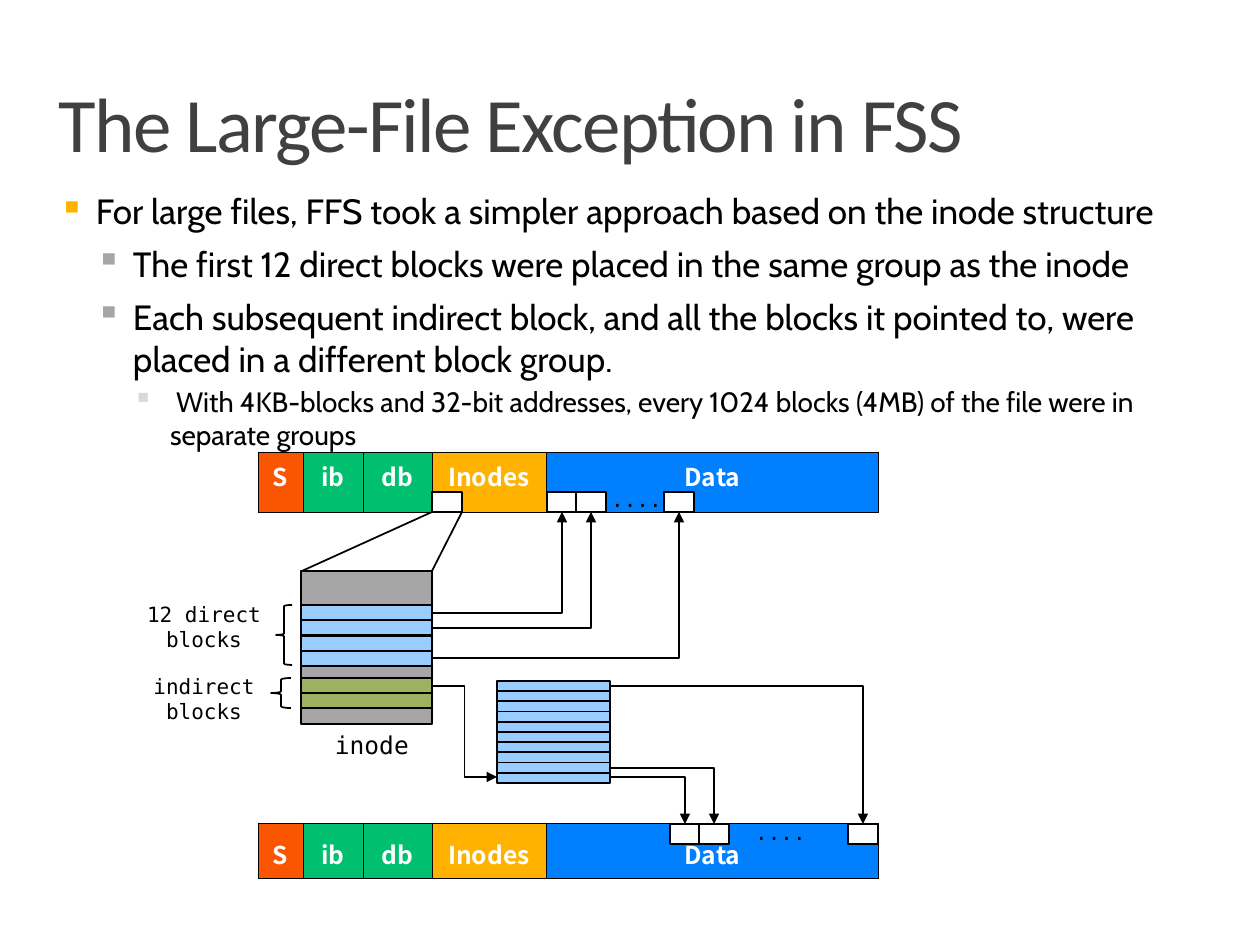
from lxml import etree
from pptx import Presentation
from pptx.dml.color import RGBColor
from pptx.enum.shapes import MSO_CONNECTOR, MSO_SHAPE
from pptx.enum.text import MSO_ANCHOR, PP_ALIGN
from pptx.oxml.ns import qn
from pptx.util import Pt

RECT, BRACE = MSO_SHAPE.RECTANGLE, MSO_SHAPE.LEFT_BRACE
STRAIGHT, ELBOW = MSO_CONNECTOR.STRAIGHT, MSO_CONNECTOR.ELBOW
LEFT, CENTER = PP_ALIGN.LEFT, PP_ALIGN.CENTER
TOP, MIDDLE, BOTTOM = MSO_ANCHOR.TOP, MSO_ANCHOR.MIDDLE, MSO_ANCHOR.BOTTOM


class Theme:
    black, white, title = "000000", "FFFFFF", "404040"
    red, green, amber, blue = "FA5500", "00C070", "FFB300", "007FFF"
    grey, direct, indirect = "A6A6A6", "99CCFF", "9EB160"
    bullets = ("FFB300", "A6A6A6", "D9D9D9")
    title_font, body_font = "Calibri", "Cabin"
    mono, table_font = "DejaVu Sans Mono", "Noto Sans CJK KR"
    title_size, table_size, label_size, inode_size = 44, 14, 12, 14
    body_sizes = (20, 20, 16)
    thin, line = 0.75, 1


TITLE = "The Large-File Exception in FSS"
BODY = [  # level, space before, text
    (0, 0, "For large files, FFS took a simpler approach based on the inode structure"),
    (1, 6, "The first 12 direct blocks were placed in the same group as the inode"),
    (1, 6, "Each subsequent indirect block, and all the blocks it pointed to, were "
           "placed in a different block group."),
    (2, 3, " With 4KB-blocks and 32-bit addresses, every 1024 blocks (4MB) of the "
           "file were in separate groups"),
]
INDENT = 37

# Block groups: label, width, fill
REGIONS = [("S", 45, Theme.red), ("ib", 60, Theme.green), ("db", 69, Theme.green),
           ("Inodes", 114, Theme.amber), ("Data", 333, Theme.blue)]
GROUP_X = 258
GROUPS = [(452, 60, TOP), (823, 55, BOTTOM)]  # top, height, anchor

BLOCK_W, BLOCK_H = 30, 20
UPPER_Y, LOWER_Y = 492, 824
UPPER_BLOCKS = (432, 547, 576, 664)
LOWER_BLOCKS = (670, 699, 848)

INODE = (301, 571, 131, 153)
INODE_ROWS = [(605, Theme.direct), (620, Theme.direct), (636, Theme.direct),
              (651, Theme.direct), (678, Theme.indirect), (693, Theme.indirect)]
ROW_H = 15
INODE_RIGHT = INODE[0] + INODE[2]
POINTERS = (497, 681, 113, 102)
POINTER_ROWS = 10
POINTERS_RIGHT = POINTERS[0] + POINTERS[2]

LABELS = [  # text, box, size, anchor
    ("inode", (285, 723, 174, 43), Theme.inode_size, MIDDLE),
    ("12 direct blocks", (133, 595, 142, 63), Theme.label_size, TOP),
    ("indirect blocks", (139, 667, 130, 63), Theme.label_size, TOP),
    ("....", (591, 480, 91, 38), Theme.label_size, TOP),
    ("....", (735, 813, 91, 38), Theme.label_size, TOP),
]
BRACES = [(276, 605, 16, 60), (271, 678, 20, 30)]
ZOOM_LINES = [(432, 512, 302, 571), (462, 512, 432, 571)]
UPPER_ARROWS = [(613, 562), (628, 591), (658, 679)]  # from y, to x
LOWER_ARROWS = [(686, 863), (768, 714), (777, 685)]


def px(n):
    return round(n * 914400 / 126)


def box(*lengths):
    return [px(n) for n in lengths]


def rgb(value):
    return RGBColor.from_string(value)


def write(p, text, *, size, font, color, bold=False, align=LEFT, before=0,
          spacing=None, tracking=None):
    p.alignment, p.space_before = align, Pt(before)
    if spacing:
        p.line_spacing = spacing
    r = p.add_run()
    r.text = text
    f = r.font
    f.size, f.name, f.bold = Pt(size), font, bold
    f.color.rgb = rgb(color)
    if tracking:
        r._r.get_or_add_rPr().set("spc", str(tracking))


def bullet(p, level):
    pPr = p._p.get_or_add_pPr()
    pPr.set("marL", str(px(INDENT * (level + 1))))
    pPr.set("indent", str(px(-INDENT)))
    clr = etree.SubElement(pPr, qn("a:buClr"))
    etree.SubElement(clr, qn("a:srgbClr"), val=Theme.bullets[level])
    etree.SubElement(pPr, qn("a:buChar"), char="▪")


def frame(tf, inset_top=0):
    tf.word_wrap, tf.vertical_anchor = True, TOP
    tf.margin_left = tf.margin_right = tf.margin_bottom = 0
    tf.margin_top = px(inset_top)


def shape(s, kind, bounds, fill=None, width=Theme.line):
    sp = s.shapes.add_shape(kind, *box(*bounds))
    sp.shadow.inherit = False
    if fill:
        sp.fill.solid()
        sp.fill.fore_color.rgb = rgb(fill)
    else:
        sp.fill.background()
    sp.line.color.rgb, sp.line.width = rgb(Theme.black), Pt(width)


def connect(s, kind, ends, arrow=True, preset=None):
    c = s.shapes.add_connector(kind, *box(*ends))
    c.line.color.rgb, c.line.width = rgb(Theme.black), Pt(Theme.line)
    spPr = c._element.spPr
    if preset:
        spPr.find(qn("a:prstGeom")).set("prst", preset)
    if arrow:
        etree.SubElement(spPr.find(qn("a:ln")), qn("a:tailEnd"), type="triangle")
    etree.SubElement(spPr, qn("a:effectLst"))


def border(cell):
    tcPr = cell._tc.get_or_add_tcPr()
    for i, side in enumerate(("lnL", "lnR", "lnT", "lnB")):
        ln = etree.Element(qn("a:" + side), w=str(Pt(0.5)))
        fill = etree.SubElement(ln, qn("a:solidFill"))
        etree.SubElement(fill, qn("a:srgbClr"), val=Theme.black)
        tcPr.insert(i, ln)


def block_group(s, top, height, anchor):
    width = sum(w for _, w, _ in REGIONS)
    table = s.shapes.add_table(1, len(REGIONS), *box(GROUP_X, top, width, height)).table
    table.rows[0].height = px(height)
    for i, (text, w, fill) in enumerate(REGIONS):
        table.columns[i].width = px(w)
        cell = table.cell(0, i)
        cell.fill.solid()
        cell.fill.fore_color.rgb = rgb(fill)
        cell.vertical_anchor = anchor
        cell.margin_left = cell.margin_right = px(15)
        cell.margin_top = cell.margin_bottom = px(6)
        write(cell.text_frame.paragraphs[0], text, size=Theme.table_size,
              font=Theme.table_font, color=Theme.white, bold=True, align=CENTER)
        border(cell)


def main():
    prs = Presentation()
    prs.slide_width, prs.slide_height = box(1260, 945)
    s = prs.slides.add_slide(prs.slide_layouts[5])

    title = s.shapes.title
    title.left, title.top, title.width, title.height = box(59, 88, 1142, 100)
    frame(title.text_frame, 5)
    write(title.text_frame.paragraphs[0], TITLE, size=Theme.title_size,
          font=Theme.title_font, color=Theme.title, spacing=0.8, tracking=-100)

    tf = s.shapes.add_textbox(*box(59, 190, 1142, 704)).text_frame
    frame(tf)
    for i, (level, before, text) in enumerate(BODY):
        p = tf.add_paragraph() if i else tf.paragraphs[0]
        p.level = level
        write(p, text, size=Theme.body_sizes[level], font=Theme.body_font,
              color=Theme.black, before=before)
        bullet(p, level)

    for group in GROUPS:
        block_group(s, *group)
    for y, blocks in ((UPPER_Y, UPPER_BLOCKS), (LOWER_Y, LOWER_BLOCKS)):
        for x in blocks:
            shape(s, RECT, (x, y, BLOCK_W, BLOCK_H), Theme.white, Theme.thin)

    shape(s, RECT, INODE, Theme.grey)
    for y, fill in INODE_ROWS:
        shape(s, RECT, (INODE[0], y, INODE[2], ROW_H), fill)
    x, y, w, h = POINTERS
    for i in range(POINTER_ROWS):
        shape(s, RECT, (x, y + i * h / POINTER_ROWS, w, h / POINTER_ROWS), Theme.direct)

    for bounds in BRACES:
        shape(s, BRACE, bounds)
    for text, bounds, size, anchor in LABELS:
        tf = s.shapes.add_textbox(*box(*bounds)).text_frame
        tf.word_wrap, tf.vertical_anchor = True, anchor
        write(tf.paragraphs[0], text, size=size, font=Theme.mono,
              color=Theme.black, align=CENTER)

    for ends in ZOOM_LINES:
        connect(s, STRAIGHT, ends, arrow=False)
    connect(s, ELBOW, (INODE_RIGHT, 686, POINTERS[0], 777))
    for start_x, end_y, arrows in ((INODE_RIGHT, UPPER_Y + BLOCK_H, UPPER_ARROWS),
                                   (POINTERS_RIGHT, LOWER_Y, LOWER_ARROWS)):
        for start_y, end_x in arrows:
            connect(s, ELBOW, (start_x, start_y, end_x, end_y), preset="bentConnector2")

    prs.save("out.pptx")


if __name__ == "__main__":
    main()
